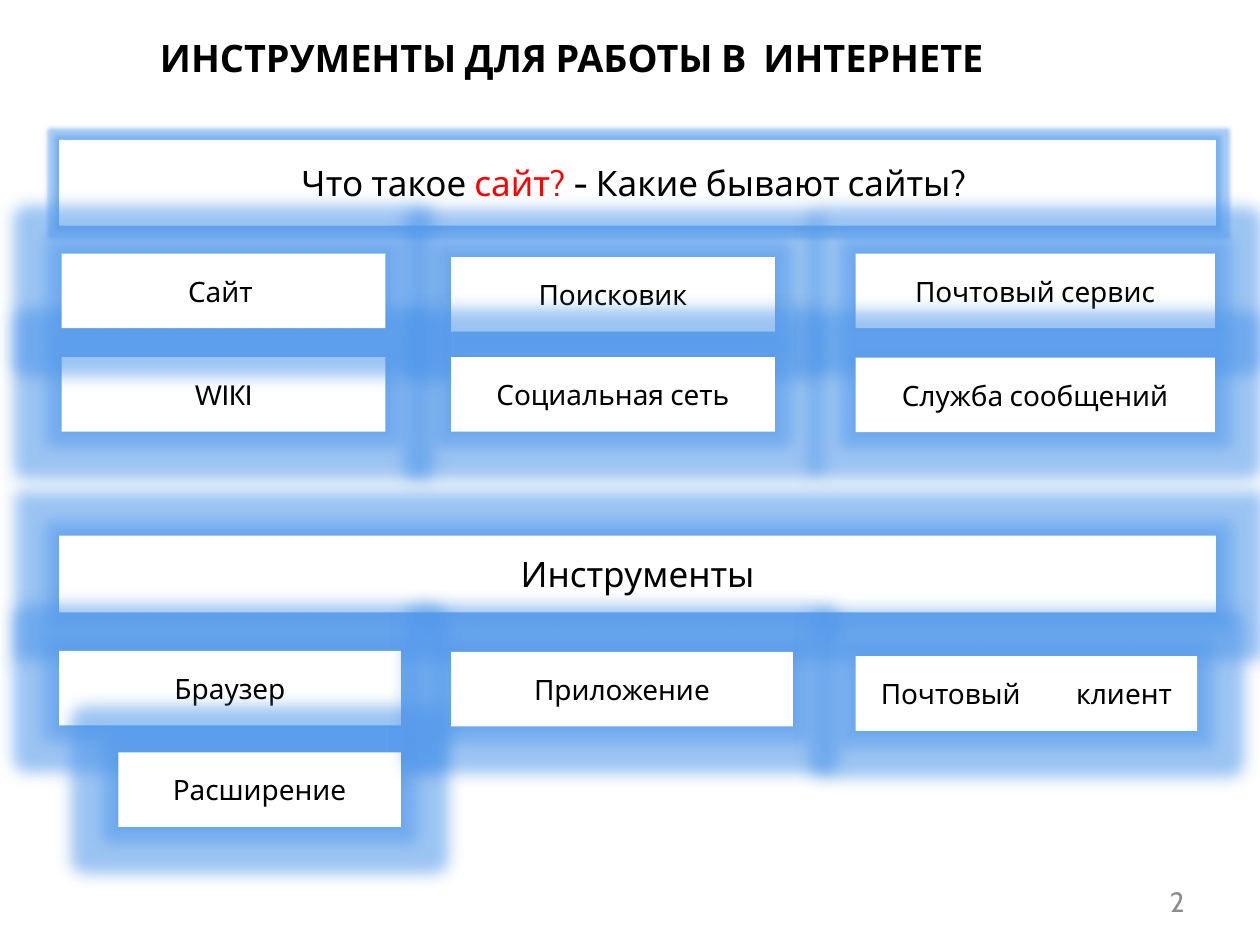
import pptx
import pptx.dml.color
import pptx.enum.shapes
import pptx.enum.text
import pptx.oxml
import pptx.util

Pt = pptx.util.Pt
ALIGN = pptx.enum.text.PP_ALIGN
FONT = "Cabin"
BLACK, RED, GREY, WHITE, GLOW = "000000", "FF0000", "8C8C8C", "FFFFFF", "4F97EB"
NS = "http://schemas.openxmlformats.org/drawingml/2006/main"

TITLE = "ИНСТРУМЕНТЫ ДЛЯ РАБОТЫ В  ИНТЕРНЕТЕ"
PAGE = "2"
QUESTION = [("Что такое ", BLACK), ("сайт? ", RED), ("- Какие бывают сайты? ", BLACK)]
TOOLS = "Инструменты"

LEFT, RIGHT = 33.8, 694.8
COLUMNS = [35.3, 257.8, 488.9]
SITE_WIDTHS = [185, 185, 205.4]
TOOL_W, ITEM_H = 195.3, 42.6
SITE_ROWS = [144.9, 204]
TOOL_TOP = 372

SITES = [
    ("Поисковик", 1, 0, 2),
    ("Социальная сеть", 1, 1, 0),
    ("WIKI", 0, 1, 0),
    ("Почтовый сервис", 2, 0, 0),
    ("Служба сообщений", 2, 1, 0.4),
]
LAST_SITE = ("Сайт ", 0, 0, 0)
TOOL_ITEMS = [
    ("Браузер", LEFT, TOOL_TOP, TOOL_W),
    ("Расширение", LEFT + 33.9, TOOL_TOP + 58, TOOL_W - 33.9),
    ("Приложение", COLUMNS[1], TOOL_TOP + 0.5, TOOL_W),
    ("Почтовый\t клиент", COLUMNS[2], TOOL_TOP + 3, TOOL_W),
]


def rgb(color):
    return pptx.dml.color.RGBColor.from_string(color)


def write(sp, parts, size, align=ALIGN.CENTER, bold=False):
    tf = sp.text_frame
    tf.word_wrap = True
    tf.auto_size = pptx.enum.text.MSO_AUTO_SIZE.NONE
    tf.vertical_anchor = pptx.enum.text.MSO_ANCHOR.MIDDLE
    p = tf.paragraphs[0]
    p.alignment = align
    for text, color in parts:
        r = p.add_run()
        r.text = text
        r.font.name, r.font.size, r.font.bold = FONT, Pt(size), bold
        r.font.color.rgb = rgb(color)


def add_effects(sp, glow, shadow):
    tint = f'<a:srgbClr val="{GLOW}"><a:alpha val="50000"/></a:srgbClr>'
    xml = f'<a:effectLst xmlns:a="{NS}"><a:glow rad="{Pt(glow)}">{tint}</a:glow>'
    if shadow:
        xml += f'<a:outerShdw blurRad="{Pt(shadow)}" dist="0">{tint}</a:outerShdw>'
    sp._element.spPr.append(pptx.oxml.parse_xml(xml + "</a:effectLst>"))


def add_box(slide, parts, x, y, w, h, size=16, glow=18, shadow=5):
    sp = slide.shapes.add_shape(
        pptx.enum.shapes.MSO_SHAPE.RECTANGLE, Pt(x), Pt(y), Pt(w), Pt(h))
    sp.fill.solid()
    sp.fill.fore_color.rgb = rgb(WHITE)
    sp.line.fill.background()
    add_effects(sp, glow, shadow)
    write(sp, parts, size)


def add_site(slide, text, col, row, shift):
    add_box(slide, [(text, BLACK)], COLUMNS[col], SITE_ROWS[row] + shift,
            SITE_WIDTHS[col], ITEM_H)


def main():
    prs = pptx.Presentation()
    prs.slide_width, prs.slide_height = Pt(720), Pt(540)
    slide = prs.slides.add_slide(prs.slide_layouts[5])

    title = slide.shapes.title
    title.left, title.top, title.width, title.height = Pt(24.5), Pt(11.5), Pt(604.8), Pt(42.5)
    write(title, [(TITLE, BLACK)], 21.6, bold=True)

    add_box(slide, QUESTION, LEFT, 79.9, RIGHT - LEFT, 49, 20, glow=5, shadow=0)
    number = slide.shapes.add_textbox(Pt(516.2), Pt(500.4), Pt(167.8), Pt(28.8))
    write(number, [(PAGE, GREY)], 16, ALIGN.RIGHT)

    add_box(slide, [(TOOLS, BLACK)], LEFT, 306, RIGHT - LEFT, 43.9, 20)
    for site in SITES:
        add_site(slide, *site)
    for text, x, y, w in TOOL_ITEMS:
        add_box(slide, [(text, BLACK)], x, y, w, ITEM_H)
    add_site(slide, *LAST_SITE)

    prs.save("out.pptx")


if __name__ == "__main__":
    main()
